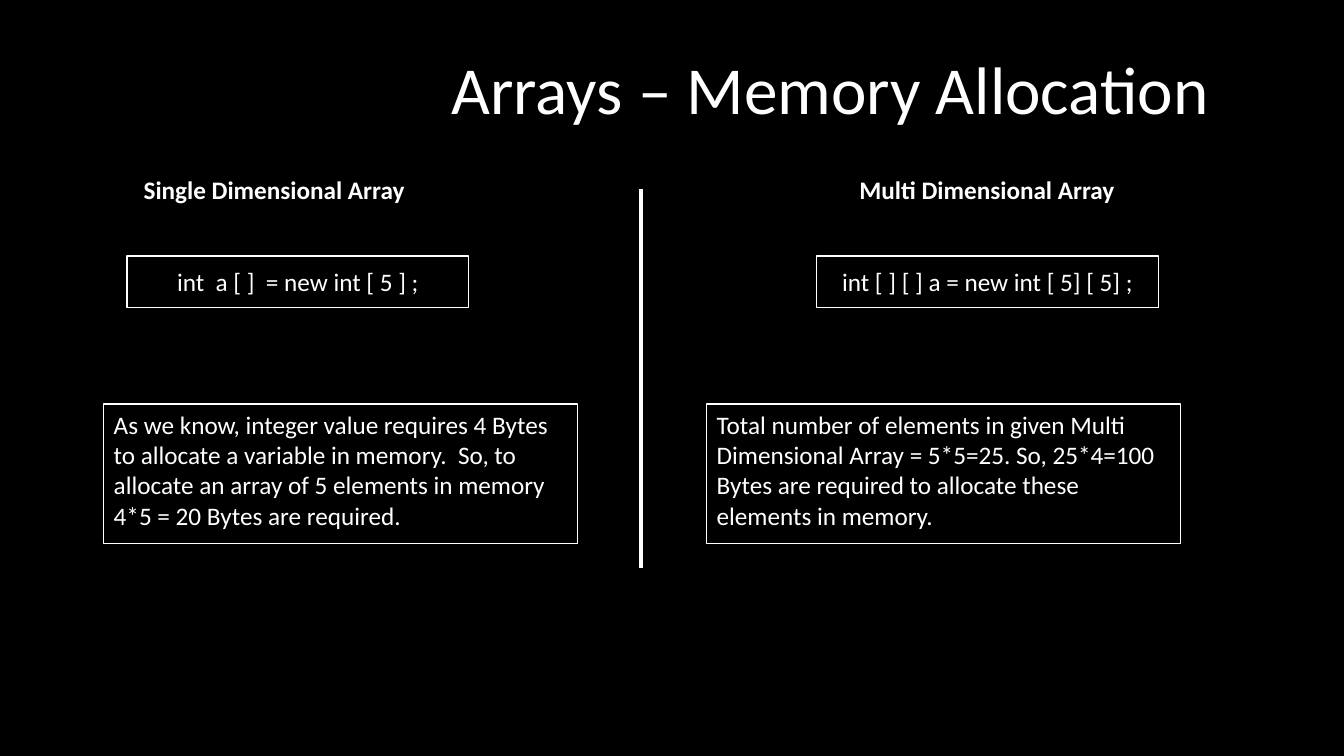
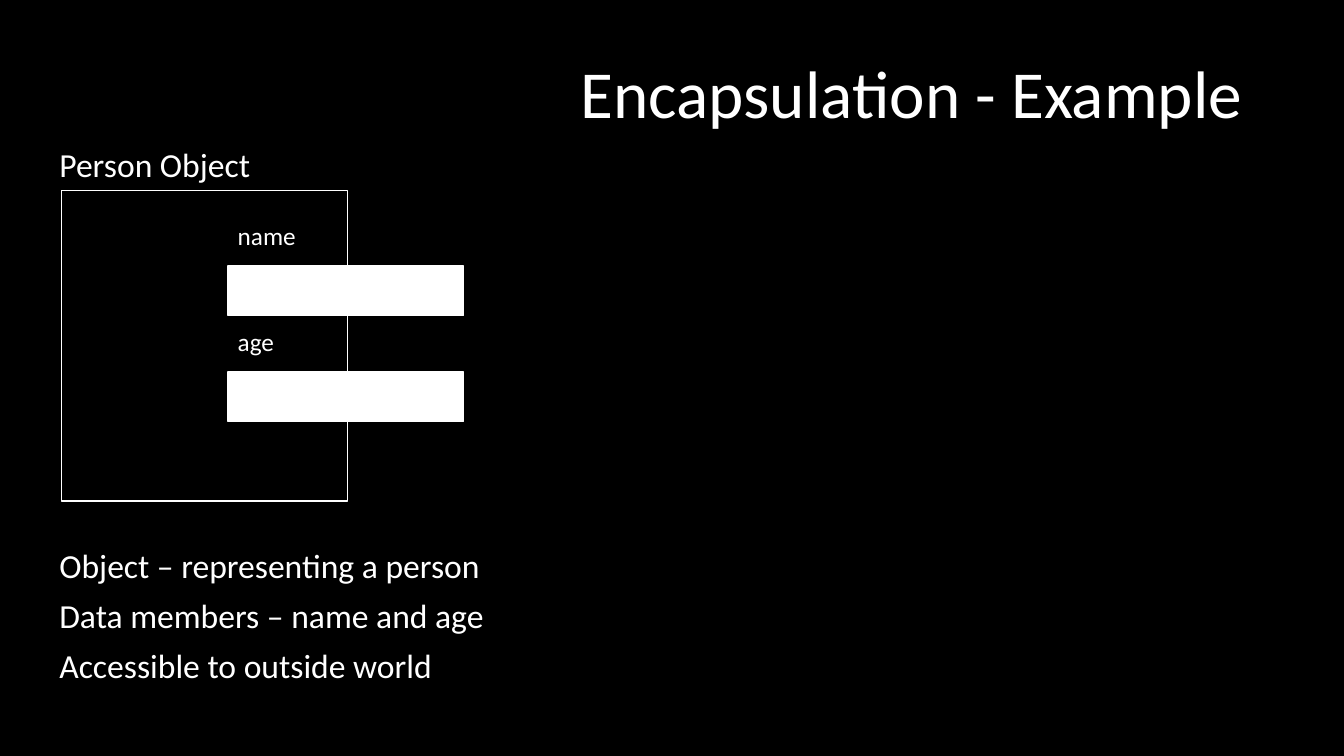
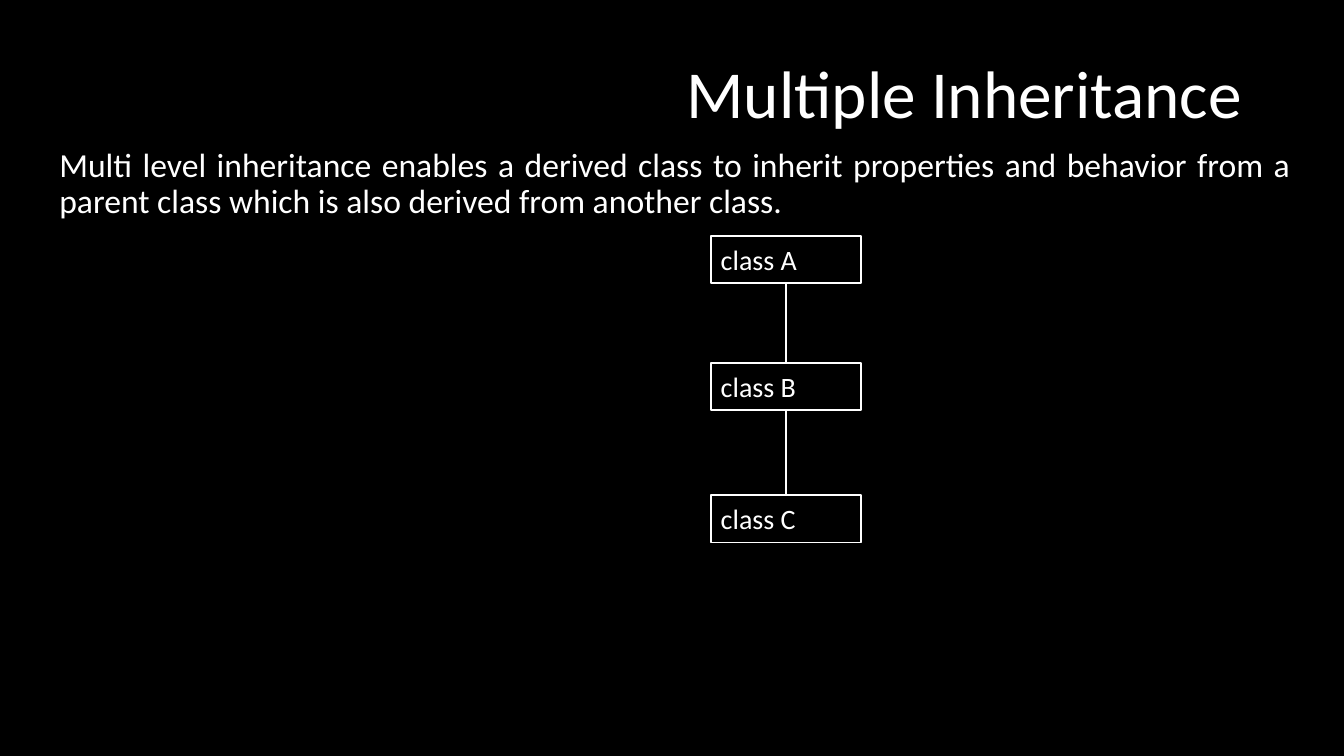
"""Build three slides on arrays, encapsulation and inheritance."""
from dataclasses import dataclass
from itertools import pairwise
from typing import Optional

from lxml.etree import SubElement
from pptx import Presentation
from pptx.dml.color import RGBColor
from pptx.enum.shapes import MSO_CONNECTOR as Connector, MSO_SHAPE as Preset
from pptx.enum.text import MSO_ANCHOR as Anchor, PP_ALIGN as Align
from pptx.oxml.ns import qn
from pptx.util import Inches, Pt

FONT = "Calibri"
BLACK, WHITE = "000000", "FFFFFF"
TITLE_SIZE, BODY_SIZE, LABEL_SIZE, CLASS_SIZE = 48, 24, 18, 20
TIGHT = 0.9


@dataclass(frozen=True)
class Area:
    left: float
    top: float
    width: float
    height: float

    def inches(self) -> tuple:
        return tuple(map(Inches, (self.left, self.top, self.width, self.height)))


@dataclass(frozen=True)
class ArrayColumn:
    heading: str
    heading_left: float
    code: str
    code_left: float
    note: str
    note_left: float


@dataclass(frozen=True)
class Member:
    name: str
    top: float


TITLE_AREA = Area(0.61, 0.5, 11.81, 0.92)
ARRAY_TITLE_AREA = Area(0.92, 0.41, 11.17, 1.03)
ARRAY_COLUMNS = (
    ArrayColumn(
        "Single Dimensional Array", 0.8,
        "int  a [ ]  = new int [ 5 ] ;", 1.26,
        "As we know, integer value requires 4 Bytes to allocate a variable in memory.  "
        "So, to allocate an array of 5 elements in memory 4*5 = 20 Bytes are required.", 1.03,
    ),
    ArrayColumn(
        "Multi Dimensional Array", 7.87,
        "int [ ] [ ] a = new int [ 5] [ 5] ;", 8.1,
        "Total number of elements in given Multi Dimensional Array = 5*5=25. So, 25*4=100 "
        "Bytes are required to allocate these elements in memory.", 7.01,
    ),
)
MEMBERS = (Member("name", 2.17), Member("age", 3.22))
CLASS_TOPS = {"class A": 2.34, "class B": 3.6, "class C": 4.91}


def colour(value: str) -> RGBColor:
    return RGBColor.from_string(value)


def write_text(box, text: str, *, size: float, bold: bool = False, align=Align.LEFT,
               anchor=Anchor.MIDDLE, spacing: float = 1.0, gap: float = 0) -> None:
    frame = box.text_frame
    frame.word_wrap = True
    frame.vertical_anchor = anchor
    for index, line in enumerate(text.split("\n")):
        para = frame.paragraphs[0] if index == 0 else frame.add_paragraph()
        para.alignment = align
        para.line_spacing = spacing
        para.space_before = Pt(gap if index else 0)
        span = para.add_run()
        span.text = line
        span.font.name = FONT
        span.font.size = Pt(size)
        span.font.bold = bold
        span.font.color.rgb = colour(WHITE)


def add_text(page, area: Area, text: str, **style):
    box = page.shapes.add_textbox(*area.inches())
    write_text(box, text, **style)
    return box


def add_box(page, area: Area, text: str = "", fill: Optional[str] = None, **style):
    box = page.shapes.add_shape(Preset.RECTANGLE, *area.inches())
    box.shadow.inherit = False
    if fill:
        box.fill.solid()
        box.fill.fore_color.rgb = colour(fill)
    else:
        box.fill.background()
    box.line.color.rgb = colour(WHITE)
    box.line.width = Pt(1)
    if text:
        write_text(box, text, **style)
    return box


def add_line(page, x: float, top: float, bottom: float, width: float):
    line = page.shapes.add_connector(
        Connector.STRAIGHT, Inches(x), Inches(top), Inches(x), Inches(bottom))
    line.line.color.rgb = colour(WHITE)
    line.line.width = Pt(width)
    SubElement(line._element.spPr, qn("a:effectLst"))
    return line


def add_page(deck, title: str, area: Area = TITLE_AREA):
    page = deck.slides.add_slide(deck.slide_layouts[6])
    page.background.fill.solid()
    page.background.fill.fore_color.rgb = colour(BLACK)
    add_text(page, area, title, size=TITLE_SIZE, align=Align.RIGHT, spacing=TIGHT)
    return page


def add_body(page, top: float, height: float, text: str, align=Align.LEFT) -> None:
    add_text(page, Area(0.49, top, 12.41, height), text, size=BODY_SIZE, align=align,
             anchor=Anchor.TOP, spacing=TIGHT, gap=10)


def build_arrays(deck) -> None:
    page = add_page(deck, "Arrays – Memory Allocation", ARRAY_TITLE_AREA)
    add_line(page, 6.36, 1.88, 5.64, 3)
    for column in ARRAY_COLUMNS:
        add_text(page, Area(column.heading_left, 1.65, 3.84, 0.46), column.heading,
                 size=LABEL_SIZE, bold=True, align=Align.CENTER)
        add_box(page, Area(column.code_left, 2.54, 3.39, 0.51), column.code, BLACK,
                size=LABEL_SIZE, align=Align.CENTER)
        add_box(page, Area(column.note_left, 4.01, 4.7, 1.38), column.note, BLACK,
                size=LABEL_SIZE, anchor=Anchor.TOP)


def build_encapsulation(deck) -> None:
    page = add_page(deck, "Encapsulation - Example")
    add_body(page, 1.42, 0.47, "Person Object")
    add_body(page, 5.4, 1.7, "Object – representing a person\n"
             "Data members – name and age\nAccessible to outside world")
    add_box(page, Area(0.61, 1.89, 2.84, 3.08))
    for member in MEMBERS:
        add_text(page, Area(2.26, member.top, 1.03, 0.33), member.name, size=LABEL_SIZE)
        add_box(page, Area(2.26, member.top + 0.47, 2.34, 0.49), fill=WHITE)


def build_inheritance(deck) -> None:
    page = add_page(deck, "Multiple Inheritance")
    add_body(page, 1.42, 0.9, "Multi level inheritance enables a derived class to inherit "
             "properties and behavior from a parent class which is also derived from "
             "another class.", Align.JUSTIFY)
    boxes = [add_box(page, Area(7.05, top, 1.49, 0.47), name, size=CLASS_SIZE)
             for name, top in CLASS_TOPS.items()]
    for parent, child in pairwise(boxes):
        link = add_line(page, 7.8, 2.8, 3.6, 1.5)
        link.begin_connect(parent, 2)
        link.end_connect(child, 0)


def main() -> None:
    deck = Presentation()
    deck.slide_width, deck.slide_height = Inches(13.33), Inches(7.5)
    build_arrays(deck)
    build_encapsulation(deck)
    build_inheritance(deck)
    deck.save("out.pptx")


if __name__ == "__main__":
    main()
